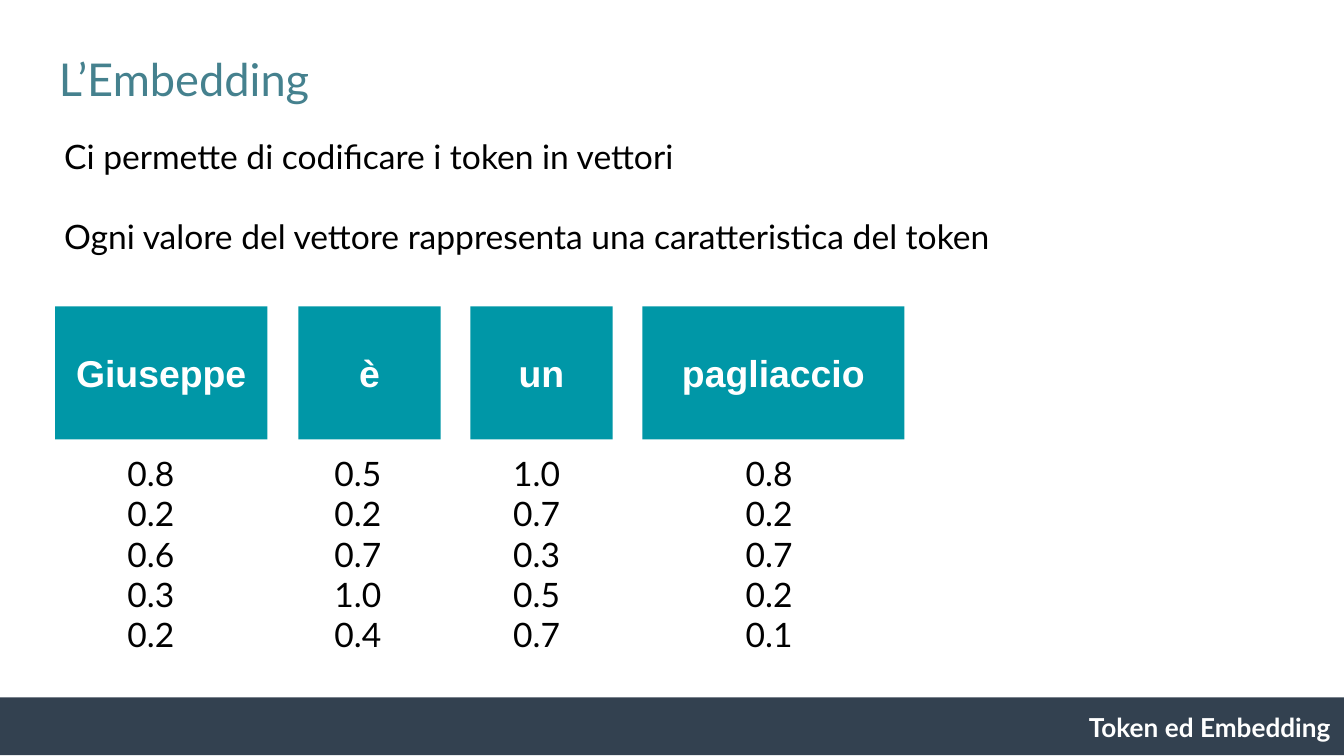
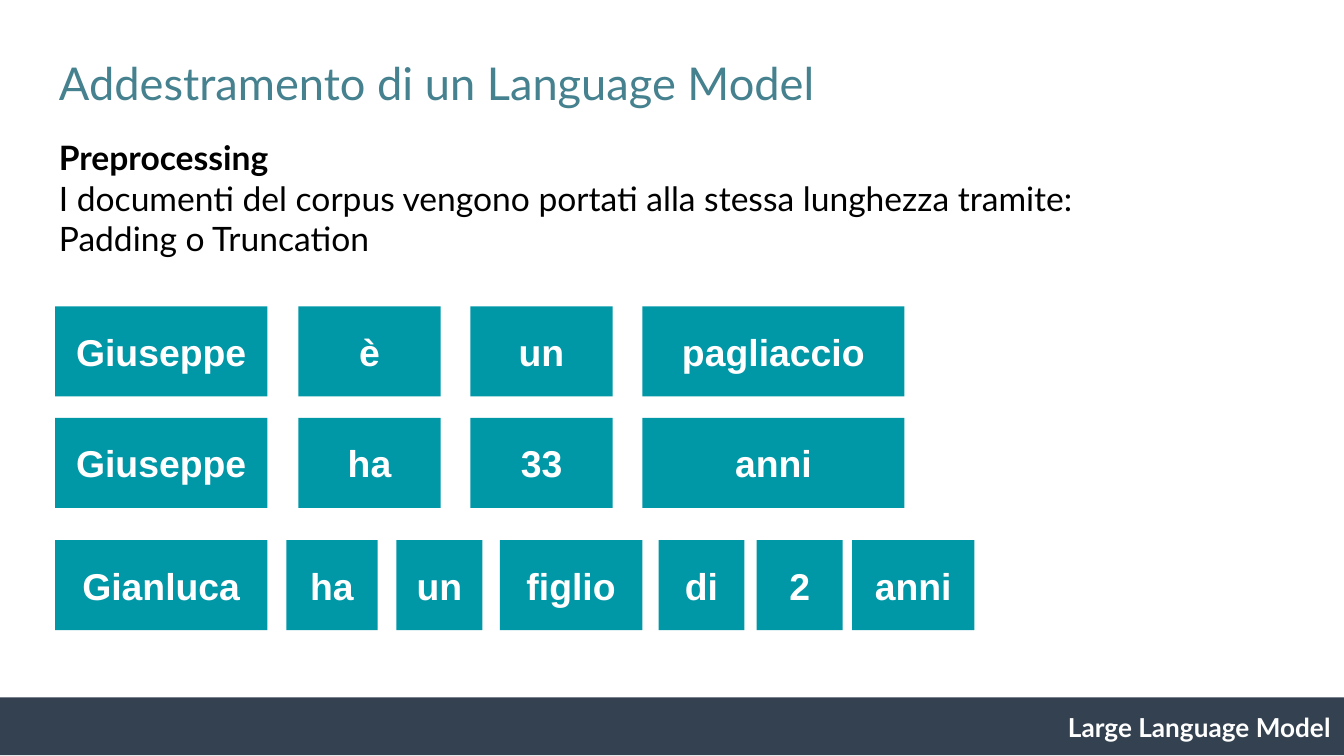
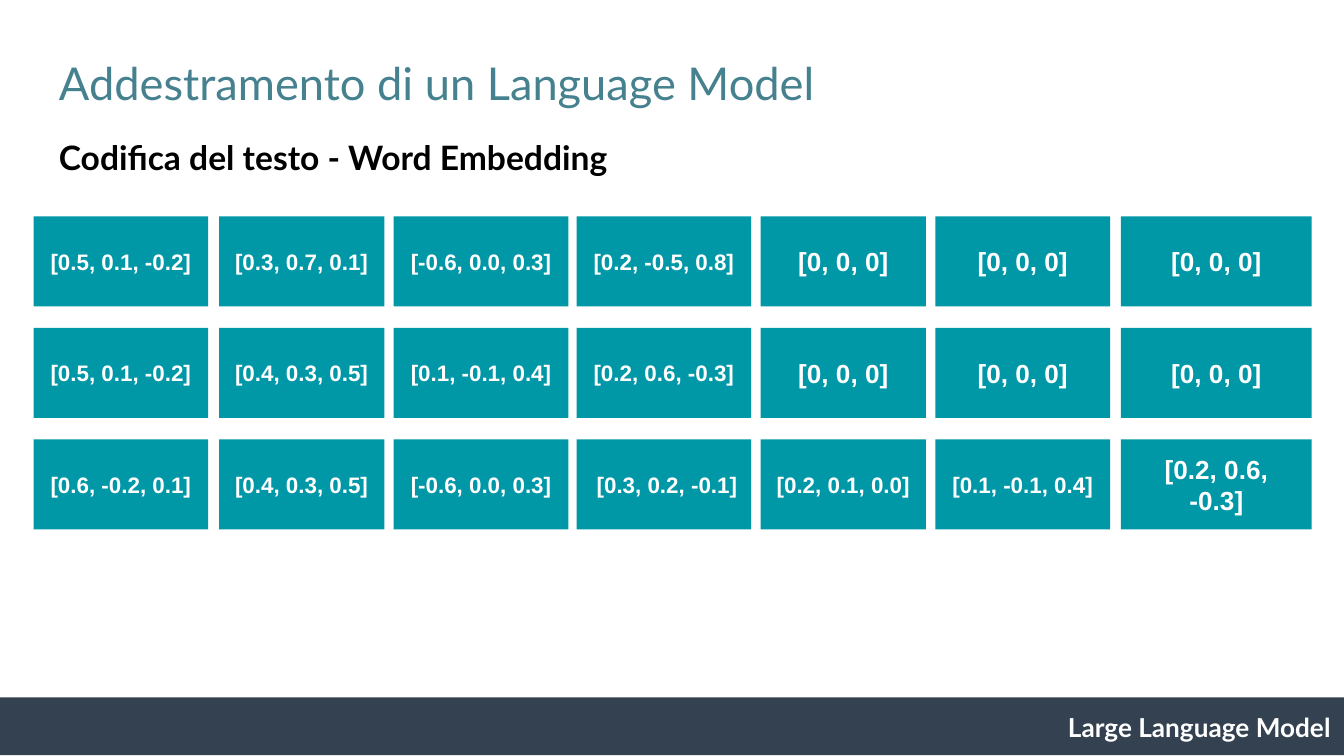
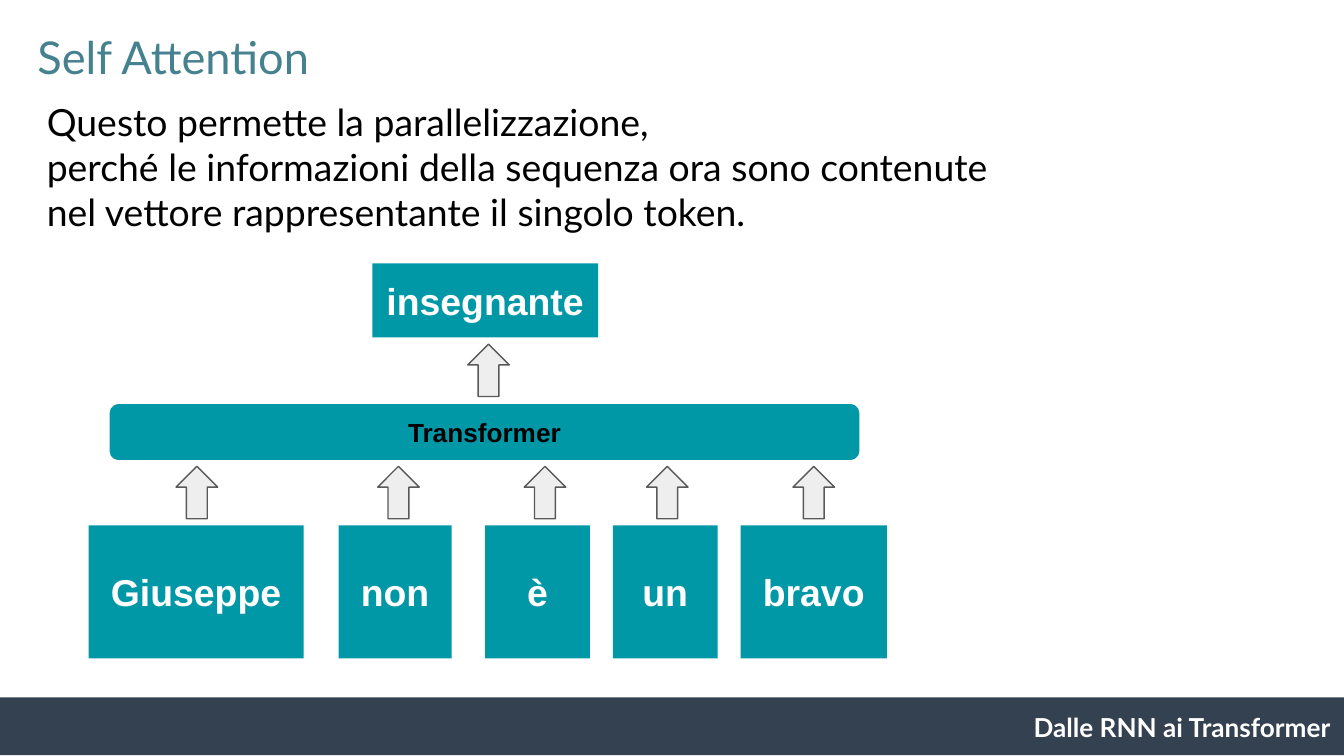
from pptx import Presentation
from pptx.dml.color import RGBColor
from pptx.enum.shapes import MSO_SHAPE
from pptx.enum.text import MSO_ANCHOR, PP_ALIGN
from pptx.util import Inches, Pt

TEAL, NAVY, TITLE = "0097A7", "334150", "45818E"
WHITE, BLACK, GREY, DARK_GREY = "FFFFFF", "000000", "EEEEEE", "595959"
BODY_FONT, BOX_FONT = "Lato", "Arial"

# Slide 1: token, vector values, left edge of the vector
EMBEDDING_INTRO = [
    "Ci permette di codificare i token in vettori",
    "Ogni valore del vettore rappresenta una caratteristica del token",
]
VECTORS = [
    ("Giuseppe", ["0.8", "0.2", "0.6", "0.3", "0.2"], 0.85),
    ("è", ["0.5", "0.2", "0.7", "1.0", "0.4"], 2.39),
    ("un", ["1.0", "0.7", "0.3", "0.5", "0.7"], 3.72),
    ("pagliaccio", ["0.8", "0.2", "0.7", "0.2", "0.1"], 5.45),
]
# Columns are (left, width)
FOUR_COLUMNS = [(0.41, 1.58), (2.22, 1.06), (3.5, 1.06), (4.78, 1.95)]

# Slide 2: top, columns, tokens
SEVEN_COLUMNS = [(0.41, 1.58), (2.13, 0.68), (2.95, 0.64), (3.72, 1.06),
                 (4.9, 0.64), (5.63, 0.64), (6.34, 0.91)]
PREPROCESSING = [
    "I documenti del corpus vengono portati alla stessa lunghezza tramite:",
    "Padding o Truncation",
]
SENTENCES = [
    (2.28, FOUR_COLUMNS, ["Giuseppe", "è", "un", "pagliaccio"]),
    (3.11, FOUR_COLUMNS, ["Giuseppe", "ha", "33", "anni"]),
    (4.02, SEVEN_COLUMNS, ["Gianluca", "ha", "un", "figlio", "di", "2", "anni"]),
]

# Slide 3
PAD = "[0, 0, 0]"
CODE_COLUMNS = [(0.25, 1.3), (1.63, 1.23), (2.93, 1.3), (4.29, 1.3),
                (5.66, 1.23), (6.96, 1.3), (8.34, 1.42)]
CODES = [
    ["[0.5, 0.1, -0.2]", "[0.3, 0.7, 0.1]", "[-0.6, 0.0, 0.3]",
     "[0.2, -0.5, 0.8]", PAD, PAD, PAD],
    ["[0.5, 0.1, -0.2]", "[0.4, 0.3, 0.5]", "[0.1, -0.1, 0.4]",
     "[0.2, 0.6, -0.3]", PAD, PAD, PAD],
    ["[0.6, -0.2, 0.1]", "[0.4, 0.3, 0.5]", "[-0.6, 0.0, 0.3]",
     " [0.3, 0.2, -0.1]", "[0.2, 0.1, 0.0]", "[0.1, -0.1, 0.4]",
     "[0.2, 0.6, -0.3]"],
]
CODE_TOP, CODE_PITCH = 1.61, 0.83

# Slide 4
ATTENTION_INTRO = [
    "Questo permette la parallelizzazione,",
    "perché le informazioni della sequenza ora sono contenute",
    "nel vettore rappresentante il singolo token.",
]
INPUT_TOKENS = ["Giuseppe", "non", "è", "un", "bravo"]
INPUT_COLUMNS = [(0.66, 1.6), (2.52, 0.84), (3.61, 0.78), (4.56, 0.78),
                 (5.51, 1.09)]
ARROWS = [(left, 3.51) for left in (1.27, 2.77, 3.86, 4.77, 5.86)] + [(3.44, 2.6)]


def rgb(hex_color):
    return RGBColor.from_string(hex_color)


def write(shape, lines, size, color, font=BODY_FONT, bold=False,
          align=PP_ALIGN.LEFT, anchor=MSO_ANCHOR.TOP, gap=0, bold_first=False):
    """Put one paragraph per line into the shape, gap points apart."""
    tf = shape.text_frame
    tf.word_wrap = True
    tf.vertical_anchor = anchor
    tf.margin_left = tf.margin_right = Inches(0.1)
    tf.margin_top = tf.margin_bottom = Inches(0.1)
    for i, line in enumerate(lines):
        p = tf.add_paragraph() if i else tf.paragraphs[0]
        p.alignment = align
        if i and gap:
            p.space_before = Pt(gap)
        r = p.add_run()
        r.text = line
        r.font.name = font
        r.font.size = Pt(size)
        r.font.bold = bold or (bold_first and i == 0)
        r.font.color.rgb = rgb(color)


def add_text(s, at, lines, size=18, color=BLACK, **style):
    write(s.shapes.add_textbox(*map(Inches, at)), lines, size, color, **style)


def add_shape(s, kind, at, fill, line=None):
    sp = s.shapes.add_shape(kind, *map(Inches, at))
    sp.shadow.inherit = False
    sp.fill.solid()
    sp.fill.fore_color.rgb = rgb(fill)
    if line:
        sp.line.color.rgb = rgb(line)
        sp.line.width = Pt(0.75)
    else:
        sp.line.fill.background()
    return sp


def add_label(sp, text, size=20, color=WHITE):
    write(sp, [text], size, color, BOX_FONT, bold=True,
          align=PP_ALIGN.CENTER, anchor=MSO_ANCHOR.MIDDLE)


def add_token(s, at, text, size=20):
    add_label(add_shape(s, MSO_SHAPE.RECTANGLE, at, TEAL), text, size)


def add_token_row(s, columns, top, height, tokens):
    for (left, width), token in zip(columns, tokens):
        add_token(s, (left, top, width, height), token)


def new_slide(prs, title, footer, left=0.34, top=0.31):
    """Add a slide with its title and the footer band."""
    s = prs.slides.add_slide(prs.slide_layouts[6])
    add_text(s, (left, top, 9.32, 0.63), [title], 24.2, TITLE)
    add_shape(s, MSO_SHAPE.RECTANGLE, (-0.02, 5.19, 10.02, 0.43), NAVY)
    add_text(s, (5.75, 5.19, 4.25, 0.44), [footer], 14, WHITE, bold=True,
             align=PP_ALIGN.RIGHT)
    return s


def embedding_slide(prs):
    s = new_slide(prs, "L’Embedding", "Token ed Embedding", top=0.28)
    add_token_row(s, FOUR_COLUMNS, 2.28, 0.99, [token for token, _, _ in VECTORS])
    add_text(s, (0.38, 0.91, 8.36, 0.63), EMBEDDING_INTRO, gap=21.6)
    for _, values, left in VECTORS:
        add_text(s, (left, 3.27, 0.72, 0.63), values)


def training_slide(prs, heading, lines=()):
    s = new_slide(prs, "Addestramento di un Language Model",
                  "Large Language Model")
    add_text(s, (0.34, 0.92, 8.36, 0.55), [heading, *lines], bold_first=True)
    return s


def preprocessing_slide(prs):
    s = training_slide(prs, "Preprocessing", PREPROCESSING)
    for top, columns, tokens in SENTENCES:
        add_token_row(s, columns, top, 0.67, tokens)


def encoding_slide(prs):
    s = training_slide(prs, "Codifica del testo - Word Embedding")
    last = len(CODE_COLUMNS) - 1
    for row, codes in enumerate(CODES):
        top = CODE_TOP + row * CODE_PITCH
        for col, ((left, width), code) in enumerate(zip(CODE_COLUMNS, codes)):
            size = 14 if code == PAD or col == last else 12
            add_token(s, (left, top, width, 0.67), code, size)


def attention_slide(prs):
    s = new_slide(prs, "Self Attention", "Dalle RNN ai Transformer", 0.18, 0.12)
    add_text(s, (0.25, 0.64, 8.36, 0.63), ATTENTION_INTRO, 20)
    add_token_row(s, INPUT_COLUMNS, 3.91, 0.99, INPUT_TOKENS)
    add_token(s, (2.77, 1.96, 1.68, 0.55), "insegnante")
    transformer = add_shape(s, MSO_SHAPE.ROUNDED_RECTANGLE,
                            (0.81, 3, 5.59, 0.43), TEAL, WHITE)
    add_label(transformer, "Transformer", 14, BLACK)
    for left, top in ARROWS:
        arrow = add_shape(s, MSO_SHAPE.RIGHT_ARROW, (left, top, 0.39, 0.31),
                          GREY, DARK_GREY)
        arrow.rotation = 270


def main():
    prs = Presentation()
    prs.slide_width = Inches(10)
    prs.slide_height = Inches(10 * 9 / 16)
    embedding_slide(prs)
    preprocessing_slide(prs)
    encoding_slide(prs)
    attention_slide(prs)
    prs.save("out.pptx")


if __name__ == "__main__":
    main()
